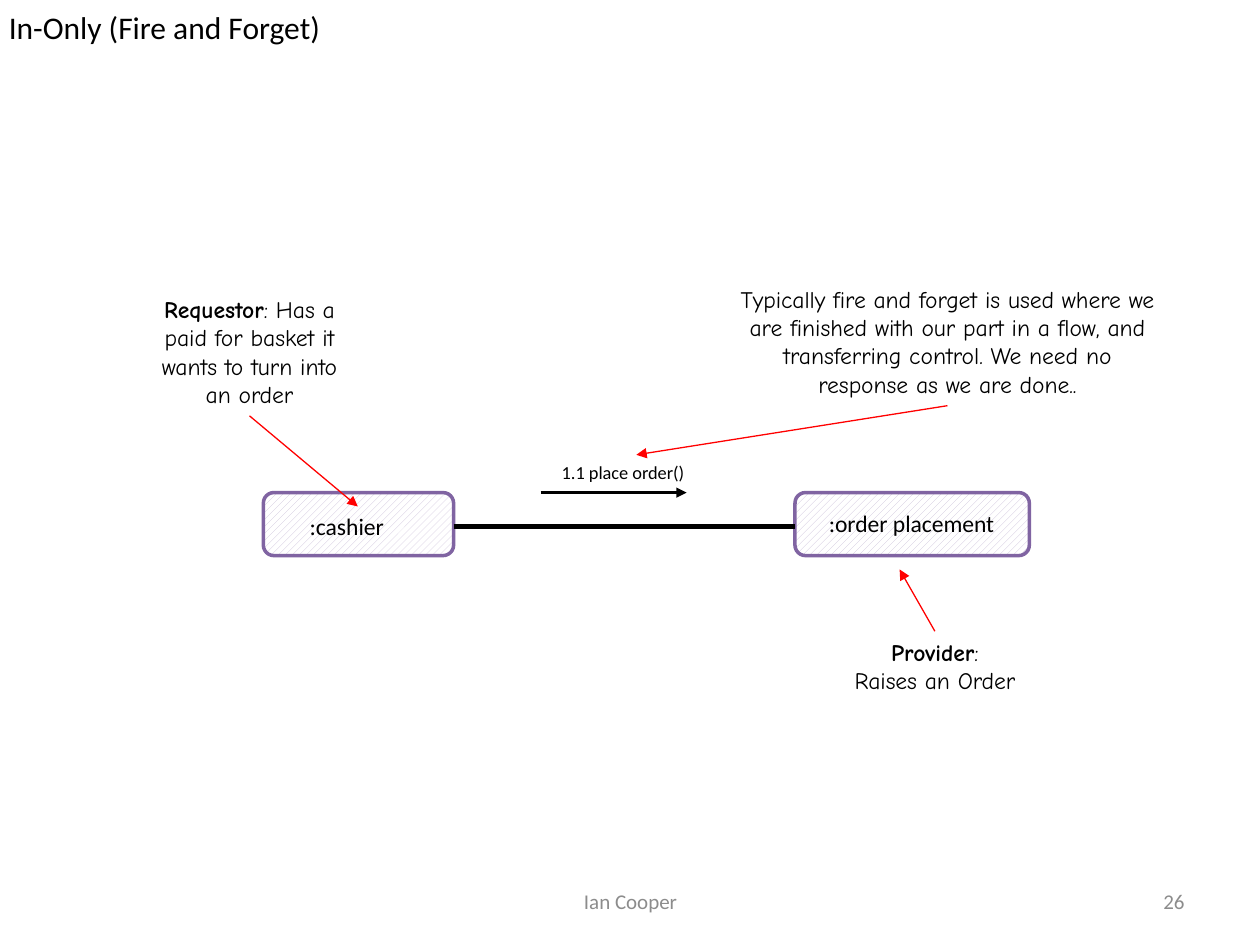
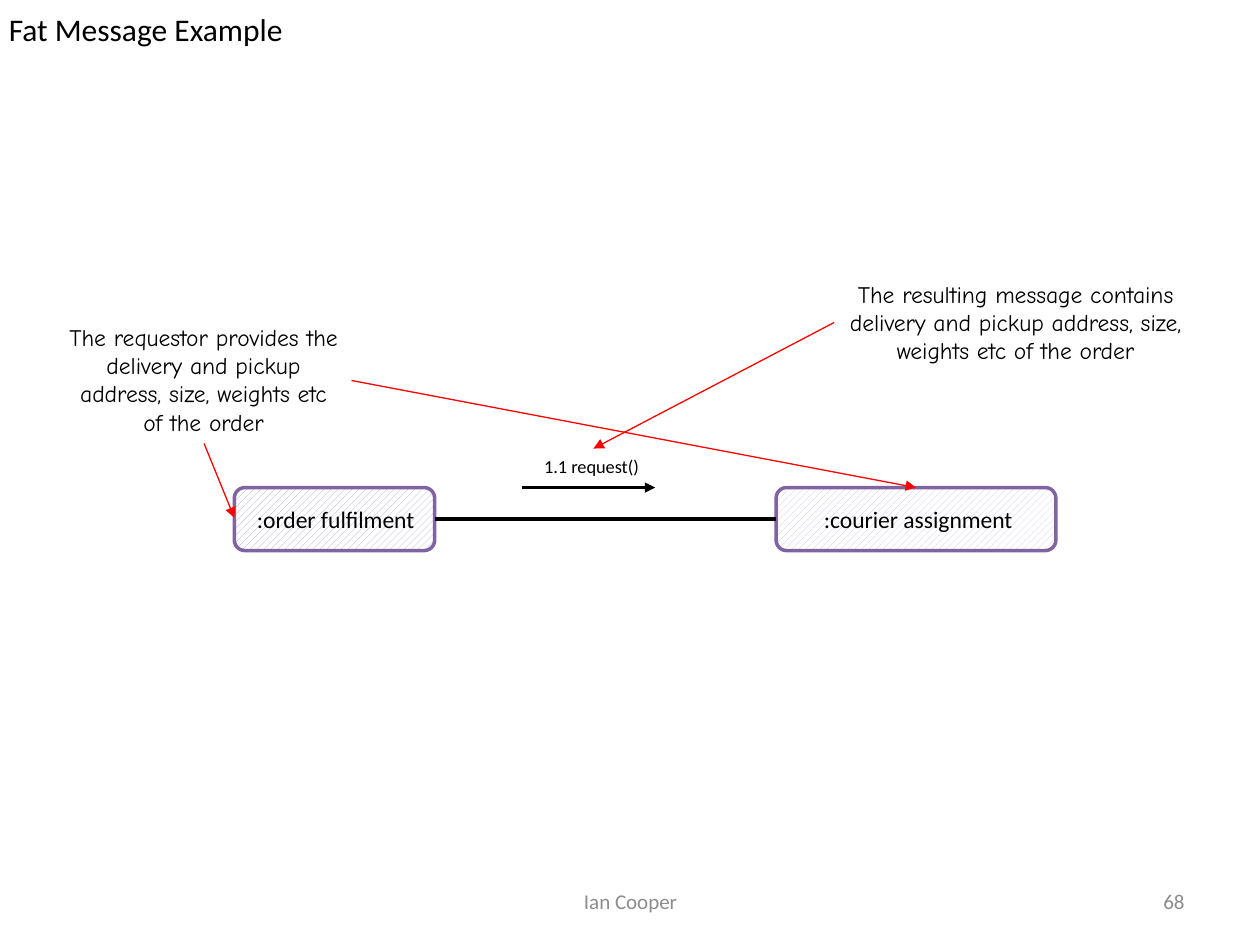
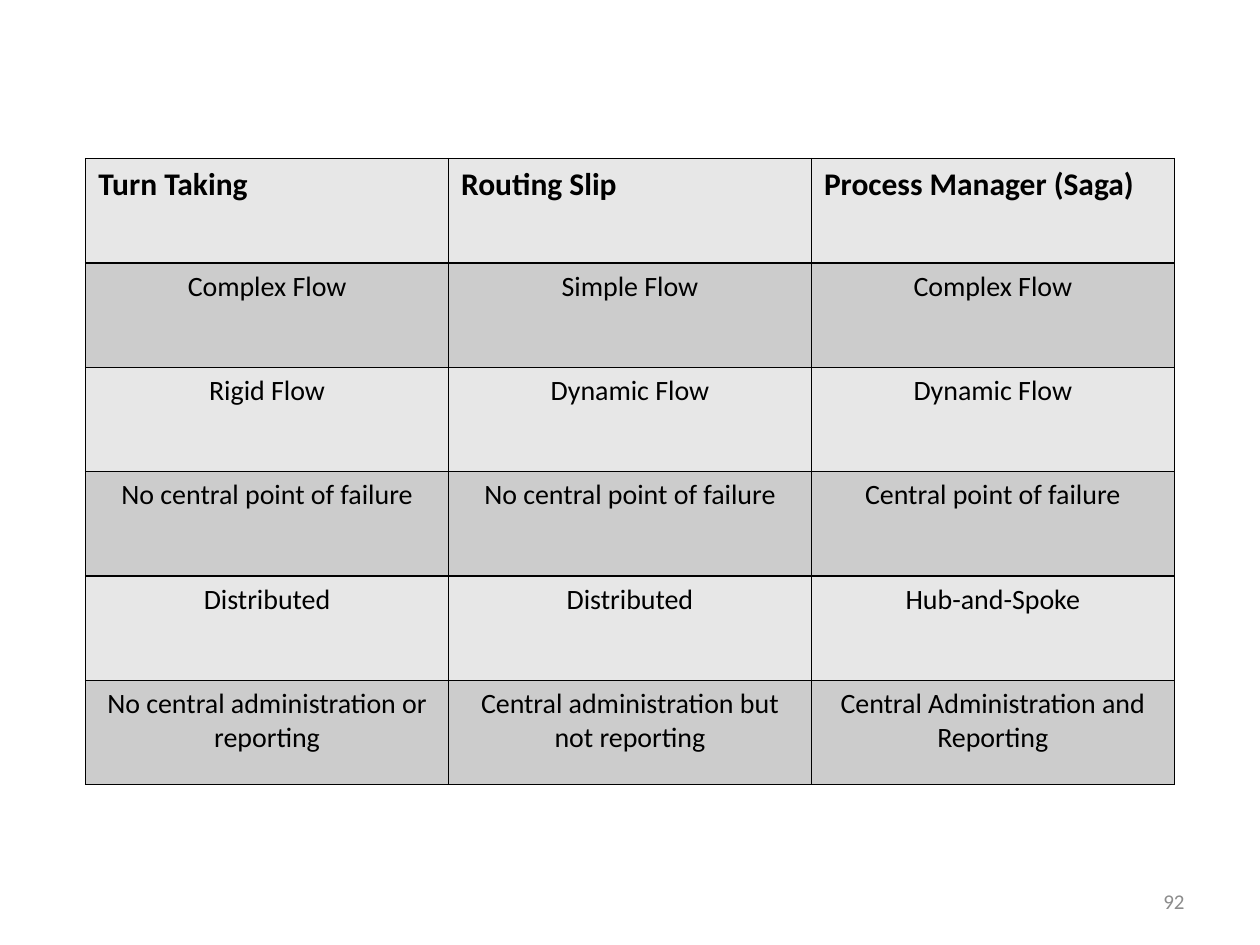
"""Build three slides on messaging: two interaction diagrams and a comparison table."""
from dataclasses import dataclass
from typing import Any, Optional

import lxml.etree
import pptx
import pptx.dml.color
import pptx.enum.dml
import pptx.enum.shapes
import pptx.enum.text
import pptx.oxml.ns
import pptx.util

Inches = pptx.util.Inches
Pt = pptx.util.Pt
Align = pptx.enum.text.PP_ALIGN
Anchor = pptx.enum.text.MSO_ANCHOR
qn = pptx.oxml.ns.qn


@dataclass(frozen=True)
class Theme:
    font: str = "Calibri"
    note_font: str = "Comic Neue"
    text: str = "000000"
    muted: str = "8C8C8C"
    pointer: str = "FF0000"
    outline: str = "8064A2"
    paper: str = "FFFFFF"
    hatch: str = "CCC1DA"
    dark_hatch: str = "B3A2C7"
    bands: tuple[str, str] = ("E7E7E7", "CCCCCC")
    title_size: float = 18
    cell_size: float = 16
    label_size: float = 13.5
    footer_size: float = 12
    call_size: float = 10.5


THEME = Theme()
BOX_HEIGHT = 0.5
Point = tuple[float, float]
Box = tuple[float, float, float, float]


@dataclass(frozen=True)
class Participant:
    left: float
    width: float
    label: str
    label_at: Box
    hatch: str = THEME.hatch


@dataclass(frozen=True)
class Call:
    text: str
    at: Box
    start: float
    end: float


@dataclass(frozen=True)
class Note:
    text: str
    at: Box
    pointers: tuple[tuple[Point, Point], ...]
    lead: str = ""


@dataclass(frozen=True)
class Diagram:
    title: str
    title_top: float
    number: int
    box_top: float
    link_y: float
    requestor: Participant
    provider: Participant
    call: Call
    notes: tuple[Note, ...]


DIAGRAMS = (
    Diagram(
        "In-Only (Fire and Forget)", -0.01, 26, 3.91, 4.18,
        Participant(2.09, 1.51, ":cashier", (2.36, 4.01, 0.96, 0.33)),
        Participant(6.31, 1.86, ":order placement", (6.48, 3.99, 1.6, 0.33)),
        Call("1.1 place order()", (4.36, 3.61, 1.38, 0.28), 4.29, 5.45),
        (
            Note("Typically fire and forget is used where we are finished with our part "
                 "in a flow, and transferring control. We need no response as we are done..",
                 (5.74, 2.21, 3.56, 1.01), (((7.52, 3.22), (5.05, 3.61)),)),
            Note(":\nRaises an Order", (6.51, 5.01, 1.82, 0.56),
                 (((7.42, 5.01), (7.14, 4.52)),), lead="Provider"),
            Note(": Has a paid for basket it wants to turn into an order",
                 (1.07, 2.29, 1.82, 1.01), (((1.98, 3.3), (2.84, 4.02)),), lead="Requestor"),
        ),
    ),
    Diagram(
        "Fat Message Example", 0.01, 68, 3.87, 4.12,
        Participant(1.86, 1.59, ":order fulfilment", (1.94, 3.96, 1.51, 0.33), THEME.dark_hatch),
        Participant(6.16, 2.22, ":courier assignment", (6.44, 3.96, 1.81, 0.33)),
        Call("1.1 request()", (4.22, 3.56, 0.98, 0.28), 4.14, 5.2),
        (
            Note("The requestor provides the delivery and pickup address, size, "
                 "weights etc of the order", (0.44, 2.51, 2.35, 1.01),
                 (((1.62, 3.52), (1.86, 4.11)), ((2.79, 3.02), (7.27, 3.87)))),
            Note("The resulting message contains delivery and pickup address, size, "
                 "weights etc of the order", (6.62, 2.17, 2.88, 0.78),
                 (((6.62, 2.56), (4.71, 3.56)),)),
        ),
    ),
)

COMPARISON = (
    ("Turn Taking", "Routing Slip", "Process Manager (Saga)"),
    ("Complex Flow", "Simple Flow", "Complex Flow"),
    ("Rigid Flow", "Dynamic Flow", "Dynamic Flow"),
    ("No central point of failure", "No central point of failure", "Central point of failure"),
    ("Distributed", "Distributed", "Hub-and-Spoke"),
    ("No central administration or reporting", "Central administration but not reporting",
     "Central Administration and Reporting"),
)


def rgb(color: str) -> pptx.dml.color.RGBColor:
    return pptx.dml.color.RGBColor.from_string(color)


def write(tf: Any, text: str, *, size: float, lead: str = "", font: str = THEME.font,
          color: str = THEME.text, align: Any = Align.LEFT, bold: bool = False) -> None:
    for i, line in enumerate(text.split("\n")):
        p = tf.add_paragraph() if i else tf.paragraphs[0]
        p.alignment = align
        parts = [(line, bold)] if i or not lead else [(lead, True), (line, bold)]
        for part, strong in parts:
            r = p.add_run()
            r.text = part
            r.font.name, r.font.size, r.font.bold = font, Pt(size), strong
            r.font.color.rgb = rgb(color)


def add_text(s: Any, at: Box, text: str, *, inset: Optional[float] = None,
             anchor: Any = Anchor.TOP, **style: Any) -> None:
    tf = s.shapes.add_textbox(*map(Inches, at)).text_frame
    tf.word_wrap = True
    tf.vertical_anchor = anchor
    if inset is not None:
        tf.margin_left = tf.margin_top = tf.margin_right = tf.margin_bottom = Inches(inset)
    write(tf, text, **style)


def add_line(s: Any, start: Point, end: Point, width: float,
             color: str = THEME.text, arrow: bool = True) -> None:
    sp = s.shapes.add_connector(pptx.enum.shapes.MSO_CONNECTOR.STRAIGHT,
                                *map(Inches, start + end))
    sp.line.color.rgb = rgb(color)
    sp.line.width = Pt(width)
    if arrow:
        lxml.etree.SubElement(sp.line._ln, qn("a:tailEnd"), type="triangle")
    lxml.etree.SubElement(sp._element.spPr, qn("a:effectLst"))


def add_participant(s: Any, item: Participant, top: float) -> None:
    sp = s.shapes.add_shape(pptx.enum.shapes.MSO_SHAPE.ROUNDED_RECTANGLE,
                            *map(Inches, (item.left, top, item.width, BOX_HEIGHT)))
    sp.shadow.inherit = False
    sp.fill.patterned()
    sp.fill.pattern = pptx.enum.dml.MSO_PATTERN.WIDE_UPWARD_DIAGONAL
    sp.fill.fore_color.rgb = rgb(item.hatch)
    sp.fill.back_color.rgb = rgb(THEME.paper)
    sp.line.color.rgb = rgb(THEME.outline)
    sp.line.width = Pt(2)
    add_text(s, item.label_at, item.label, size=THEME.label_size)


def add_slide(prs: Any, number: int, author: str = "") -> Any:
    s = prs.slides.add_slide(prs.slide_layouts[6])
    footers = (((3.42, 6.95, 3.17, 0.4), author, Align.CENTER),
               ((7.17, 6.95, 2.33, 0.4), str(number), Align.RIGHT))
    for at, text, align in footers:
        if text:
            add_text(s, at, text, size=THEME.footer_size, color=THEME.muted,
                     align=align, anchor=Anchor.MIDDLE)
    return s


def add_diagram(prs: Any, d: Diagram) -> None:
    s = add_slide(prs, d.number, "Ian Cooper")
    add_text(s, (0, d.title_top, 10, 0.45), d.title, size=THEME.title_size, inset=0.07)
    for item in (d.requestor, d.provider):
        add_participant(s, item, d.box_top)
    add_line(s, (d.requestor.left + d.requestor.width, d.link_y),
             (d.provider.left, d.link_y), 2.5, arrow=False)
    add_line(s, (d.call.start, d.box_top), (d.call.end, d.box_top), 1.5)
    add_text(s, d.call.at, d.call.text, size=THEME.call_size)
    for note in d.notes:
        add_text(s, note.at, note.text, lead=note.lead, size=THEME.label_size,
                 font=THEME.note_font, align=Align.CENTER)
        for start, end in note.pointers:
            add_line(s, start, end, 0.75, THEME.pointer)


def add_borders(cell: Any) -> None:
    tc_pr = cell._tc.get_or_add_tcPr()
    for side in ("a:lnL", "a:lnR", "a:lnT", "a:lnB"):
        ln = lxml.etree.SubElement(tc_pr, qn(side), w=str(Pt(1)))
        fill = lxml.etree.SubElement(ln, qn("a:solidFill"))
        lxml.etree.SubElement(fill, qn("a:srgbClr"), val=THEME.text)


def add_comparison(prs: Any, number: int) -> None:
    s = add_slide(prs, number)
    table = s.shapes.add_table(len(COMPARISON), len(COMPARISON[0]),
                               *map(Inches, (0.68, 1.26, 8.64, 4.97))).table
    table.first_row = table.horz_banding = False
    for i, row in enumerate(COMPARISON):
        header = i == 0
        for j, text in enumerate(row):
            cell = table.cell(i, j)
            add_borders(cell)
            cell.fill.solid()
            cell.fill.fore_color.rgb = rgb(THEME.bands[i % 2])
            write(cell.text_frame, text, bold=header,
                  size=THEME.title_size if header else THEME.cell_size,
                  align=Align.LEFT if header else Align.CENTER)


def main() -> None:
    prs = pptx.Presentation()
    prs.slide_width, prs.slide_height = Inches(10), Inches(7.5)
    for diagram in DIAGRAMS:
        add_diagram(prs, diagram)
    add_comparison(prs, 92)
    prs.save("out.pptx")


if __name__ == "__main__":
    main()
